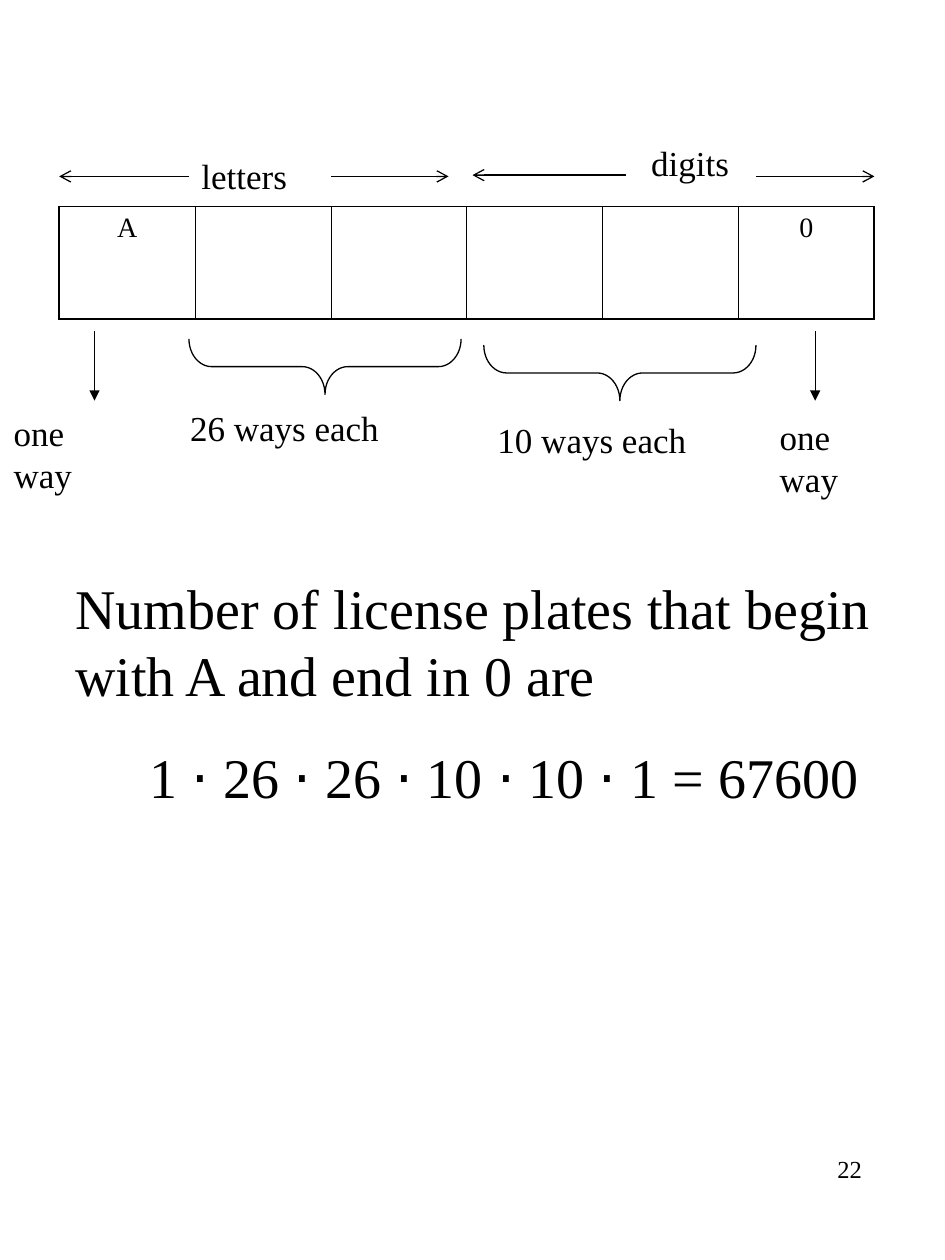
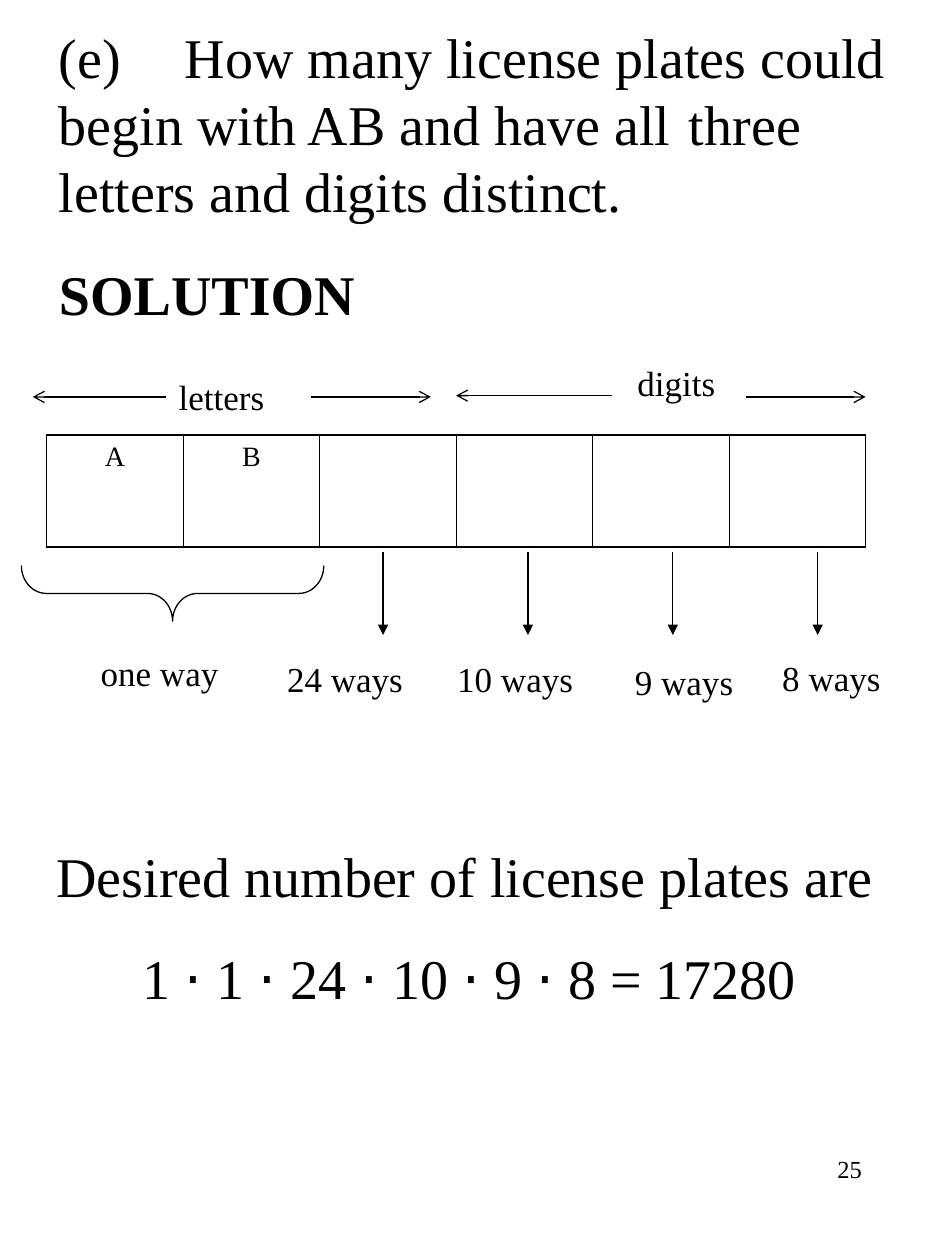
from dataclasses import dataclass

from lxml import etree
from pptx import Presentation
from pptx.dml.color import RGBColor
from pptx.enum import shapes, text
from pptx.oxml import ns
from pptx.util import Inches, Pt


@dataclass(frozen=True)
class Theme:
    ink: RGBColor = RGBColor(0, 0, 0)
    font: str = "Times New Roman"
    symbol_font: str = "Arial"
    body: int = 32
    label: int = 20
    cell: int = 16
    page_number: int = 14
    paragraph_gap: int = 20
    line: float = 0.75
    outer_border: float = 1.08
    inner_border: float = 0.45


def add_xml(parent, tag, **attributes):
    return etree.SubElement(parent, ns.qn(tag), attributes)


def add_tab_stops(paragraph):
    """Put a left tab at every inch."""
    tabs = add_xml(paragraph._p.get_or_add_pPr(), "a:tabLst")
    for inch in range(8):
        add_xml(tabs, "a:tab", pos=str(Inches(inch)), algn="l")


def write_text(paragraph, content, theme, size, bold=False, align="LEFT", gap=0, indent=0):
    """Write one paragraph, setting each multiplication dot in the symbol font."""
    properties = paragraph._p.get_or_add_pPr()
    if indent:
        properties.set("marL", str(Inches(indent)))
        properties.set("indent", "0")
    paragraph.alignment = getattr(text.PP_ALIGN, align)
    if gap:
        paragraph.space_before = Pt(gap)
    if "\t" in content:
        add_tab_stops(paragraph)
    before, *rest = content.split("⋅")
    pieces = [before]
    for piece in rest:
        pieces += ["⋅", piece]
    for piece in pieces:
        run = paragraph.add_run()
        run.text = piece
        run.font.name = theme.symbol_font if piece == "⋅" else theme.font
        run.font.size = Pt(size)
        run.font.bold = bold
        run.font.color.rgb = theme.ink


class PlateSlide:
    def __init__(self, presentation, theme, number):
        self.theme = theme
        self.slide = presentation.slides.add_slide(presentation.slide_layouts[6])
        self.text_box(5.38, 9.11, 1.56, 0.67, [(str(number), {"align": "RIGHT"})],
                      size=theme.page_number, grow=False)

    def text_box(self, left, top, width, height, paragraphs, size, wrap=True, grow=True, **style):
        box = self.slide.shapes.add_textbox(*map(Inches, (left, top, width, height)))
        frame = box.text_frame
        frame.word_wrap = wrap
        frame.auto_size = (text.MSO_AUTO_SIZE.SHAPE_TO_FIT_TEXT if grow
                           else text.MSO_AUTO_SIZE.NONE)
        for index, (content, own_style) in enumerate(paragraphs):
            paragraph = frame.add_paragraph() if index else frame.paragraphs[0]
            write_text(paragraph, content, self.theme, size,
                       gap=self.theme.paragraph_gap if index else 0, **style, **own_style)

    def body(self, left, top, width, height, *paragraphs, **style):
        self.text_box(left, top, width, height, paragraphs, self.theme.body, **style)

    def label(self, content, left, top, width, wrap=False):
        self.text_box(left, top, width, 0.44, [(content, {})], self.theme.label, wrap=wrap)

    def arrow(self, x1, y1, x2, y2, head="triangle"):
        connector = self.slide.shapes.add_connector(
            shapes.MSO_CONNECTOR.STRAIGHT, *map(Inches, (x1, y1, x2, y2)))
        connector.line.color.rgb = self.theme.ink
        connector.line.width = Pt(self.theme.line)
        add_xml(connector.line._get_or_add_ln(), "a:tailEnd", type=head)
        add_xml(connector._element.spPr, "a:effectLst")

    def span(self, name, left, right, label_left, label_top, label_width, starts, y):
        """Label a group of cells between two arrows that point outwards."""
        self.label(name, label_left, label_top, label_width)
        for start, end in zip(starts, (left, right)):
            self.arrow(start, y[end == right], end, y[end == right], "arrow")

    def brace(self, left, top, width, curve):
        """Draw a brace that opens upwards, by turning a left brace."""
        depth = 0.44
        shape = self.slide.shapes.add_shape(
            shapes.MSO_SHAPE.LEFT_BRACE, Inches(left + (width - depth) / 2),
            Inches(top - (width - depth) / 2), Inches(depth), Inches(width))
        shape.rotation = 270
        shape.adjustments[0] = curve
        shape.shadow.inherit = False
        shape.fill.background()
        shape.line.color.rgb = self.theme.ink
        shape.line.width = Pt(self.theme.line)

    def plate(self, left, top, width, characters):
        """Draw the row of cells that make up a license plate."""
        count = len(characters)
        frame = self.slide.shapes.add_table(
            1, count, *map(Inches, (left, top, width, 0.89)))
        table = frame.table
        table.first_row = table.horz_banding = False
        for index, character in enumerate(characters):
            table.columns[index].width = Inches(width / count)
            cell = table.cell(0, index)
            write_text(cell.text_frame.paragraphs[0], character, self.theme,
                       self.theme.cell, align="CENTER")
            outer = {"T", "B"}
            if index == 0:
                outer.add("L")
            if index == count - 1:
                outer.add("R")
            self.border(cell, outer)
            cell.fill.background()

    def border(self, cell, outer):
        properties = cell._tc.get_or_add_tcPr()
        for side in "LRTB":
            points = self.theme.outer_border if side in outer else self.theme.inner_border
            line = add_xml(properties, f"a:ln{side}", w=str(Pt(points)))
            fill = add_xml(line, "a:solidFill")
            add_xml(fill, "a:srgbClr", val=str(self.theme.ink))


def build_fixed_ends(presentation, theme):
    page = PlateSlide(presentation, theme, 22)
    page.plate(0.47, 1.64, 6.47, ["A", "", "", "", "", "0"])
    page.span("letters", 0.47, 3.56, 1.5, 1.18, 0.88, (1.5, 2.63), (1.4, 1.4))
    page.span("digits", 3.75, 6.94, 5.07, 1.07, 0.82, (4.97, 6), (1.39, 1.4))
    page.brace(1.5, 2.69, 2.16, 0.41)
    page.brace(3.84, 2.74, 2.16, 0.41)
    page.label("26 ways each", 1.41, 3.18, 2.25, wrap=True)
    page.label("10 ways each", 3.85, 3.27, 1.7)
    for x, left, top in ((0.75, 0.01, 3.22), (6.47, 6.09, 3.25)):
        page.label("one way", left, top, 1.13)
        page.arrow(x, 2.63, x, 3.18)
    page.body(0, 4.5, 7.5, 1.98,
              ("Number of license plates that begin with A and end in 0 are", {}),
              ("1 ⋅ 26 ⋅ 26 ⋅ 10 ⋅ 10 ⋅ 1 = 67600", {"align": "CENTER"}), indent=0.5)


def build_distinct(presentation, theme):
    page = PlateSlide(presentation, theme, 25)
    page.body(0.37, 0.13, 7, 2.51,
              ("(e)\tHow many license plates could begin with AB and have all "
               "\tthree letters and digits distinct.", {}),
              ("SOLUTION", {"bold": True}))
    page.body(0.35, 6.63, 6.75, 1.45,
              ("Desired number of license plates are", {}),
              ("1 ⋅ 1 ⋅ 24 ⋅ 10 ⋅ 9 ⋅ 8 = 17280", {"align": "CENTER"}))
    page.span("letters", 0.26, 3.42, 1.32, 2.93, 0.88, (1.32, 2.47), (3.15, 3.15))
    page.span("digits", 3.62, 6.87, 4.96, 2.82, 0.82, (4.86, 5.92), (3.14, 3.15))
    page.brace(0.17, 4.49, 2.4, 0.45)
    page.label("one way", 0.7, 5.12, 1.52, wrap=True)
    ways = (("24 ways", 2.18, 5.17, 1.12), ("10 ways", 3.53, 5.17, 1.12),
            ("9 ways", 4.94, 5.19, 0.98), ("8 ways", 6.11, 5.16, 0.98))
    for index, way in enumerate(ways):
        x = 3.04 + 1.15 * index
        page.label(*way)
        page.arrow(x, 4.38, x, 5.04)
    page.plate(0.37, 3.45, 6.5, ["A", "B", "", "", "", ""])


def main():
    presentation = Presentation()
    presentation.slide_width, presentation.slide_height = Inches(7.5), Inches(10)
    theme = Theme()
    build_fixed_ends(presentation, theme)
    build_distinct(presentation, theme)
    presentation.save("out.pptx")


if __name__ == "__main__":
    main()
